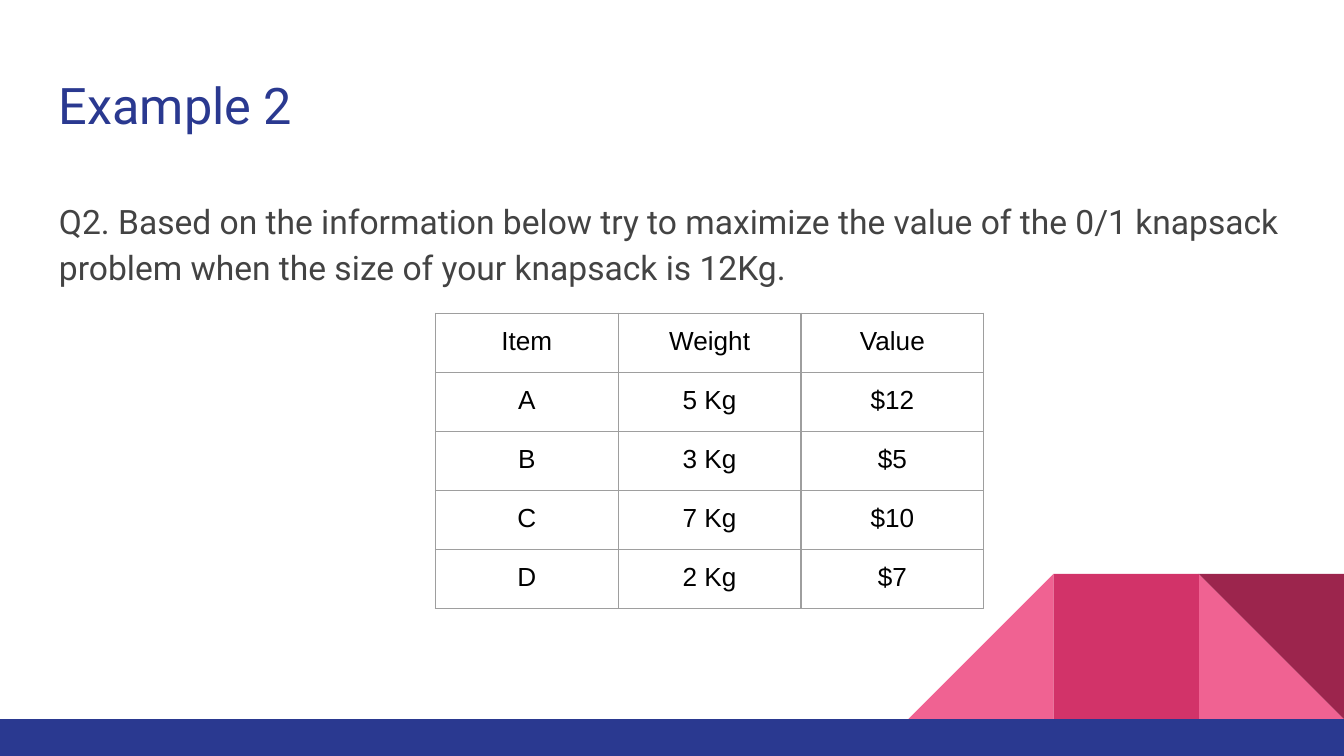
"""Build the knapsack example slide with its item table and folded-paper corner."""
from lxml import etree
from pptx import Presentation, util as u
from pptx.dml.color import RGBColor
from pptx.enum import shapes, text
from pptx.oxml import ns

WIDTH = 10
HEIGHT = WIDTH * 9 / 16
COLOURS = {"blue": "2A3990", "grey": "434343", "black": "000000", "border": "9E9E9E",
           "pink": "F06292", "rose": "D23369", "wine": "9C254D"}
TITLE = "Example 2"
QUESTION = ("Q2. Based on the information below try to maximize the value of the 0/1 knapsack "
            "problem when the size of your knapsack is 12Kg.")
ITEMS = [("Item", "Weight", "Value"),
         ("A", "5 Kg", "$12"),
         ("B", "3 Kg", "$5"),
         ("C", "7 Kg", "$10"),
         ("D", "2 Kg", "$7")]
MARGIN, INSET = 0.34, 0.1
TABLE_LEFT, TABLE_TOP, COLUMN, ROW = 3.24, 2.33, 1.36, 0.44
FOLD, BAR_TOP = 1.08, 5.35
TRIANGLE, RECTANGLE = shapes.MSO_SHAPE.RIGHT_TRIANGLE, shapes.MSO_SHAPE.RECTANGLE
FOLDS = [(1, TRIANGLE, "pink", False, 0),
         (3, TRIANGLE, "pink", True, 0),
         (2, RECTANGLE, "rose", False, 0),
         (1, TRIANGLE, "wine", False, 180)]


def colour(name):
    return RGBColor.from_string(COLOURS[name])


def inches(*lengths):
    return [u.Inches(length) for length in lengths]


def write(frame, content, *, size, font, fill, align=text.PP_ALIGN.LEFT, spacing=None):
    paragraph = frame.paragraphs[0]
    paragraph.alignment = align
    paragraph.line_spacing = spacing
    run = paragraph.add_run()
    run.text = content
    run.font.size, run.font.name = u.Pt(size), font
    run.font.color.rgb = colour(fill)


def add_block(slide, kind, box, fill):
    shape = slide.shapes.add_shape(kind, *inches(*box))
    shape.shadow.inherit = False
    shape.fill.solid()
    shape.fill.fore_color.rgb = colour(fill)
    shape.line.fill.background()
    return shape


def add_text(slide, box, content, anchor, **style):
    frame = slide.shapes.add_textbox(*inches(*box)).text_frame
    frame.word_wrap = True
    frame.vertical_anchor = anchor
    frame.margin_left = frame.margin_right = u.Inches(INSET)
    frame.margin_top = frame.margin_bottom = u.Inches(INSET)
    write(frame, content, font="Roboto", **style)


def set_borders(cell):
    properties = cell._tc.get_or_add_tcPr()
    for side in ("a:lnL", "a:lnR", "a:lnT", "a:lnB"):
        line = etree.SubElement(properties, ns.qn(side), w=str(u.Pt(0.75)))
        solid = etree.SubElement(line, ns.qn("a:solidFill"))
        etree.SubElement(solid, ns.qn("a:srgbClr"), val=COLOURS["border"])


def add_items(slide):
    rows, columns = len(ITEMS), len(ITEMS[0])
    box = inches(TABLE_LEFT, TABLE_TOP, columns * COLUMN, rows * ROW)
    table = slide.shapes.add_table(rows, columns, *box).table
    table.first_row = table.horz_banding = False
    for row, values in enumerate(ITEMS):
        for column, value in enumerate(values):
            cell = table.cell(row, column)
            cell.margin_left = cell.margin_right = u.Inches(INSET)
            cell.margin_top = cell.margin_bottom = u.Inches(INSET)
            set_borders(cell)
            cell.fill.background()
            write(cell.text_frame, value, size=14, font="Arial", fill="black",
                  align=text.PP_ALIGN.CENTER)


def main():
    presentation = Presentation()
    presentation.slide_width, presentation.slide_height = inches(WIDTH, HEIGHT)
    slide = presentation.slides.add_slide(presentation.slide_layouts[6])
    for steps, kind, fill, flipped, rotation in FOLDS:
        box = (WIDTH - steps * FOLD, BAR_TOP - FOLD, FOLD, FOLD)
        shape = add_block(slide, kind, box, fill)
        shape.rotation = rotation
        if flipped:
            shape._element.spPr.xfrm.set("flipH", "1")
    add_block(slide, RECTANGLE, (0, BAR_TOP, WIDTH, HEIGHT - BAR_TOP), "blue")
    text_width = WIDTH - 2 * MARGIN
    add_text(slide, (MARGIN, 0.45, text_width, 0.66), TITLE, text.MSO_ANCHOR.MIDDLE,
             size=27, fill="blue")
    add_text(slide, (MARGIN, 1.35, text_width, 3.65), QUESTION, text.MSO_ANCHOR.TOP,
             size=18, fill="grey", spacing=1.15)
    add_items(slide)
    presentation.save("out.pptx")


if __name__ == "__main__":
    main()
